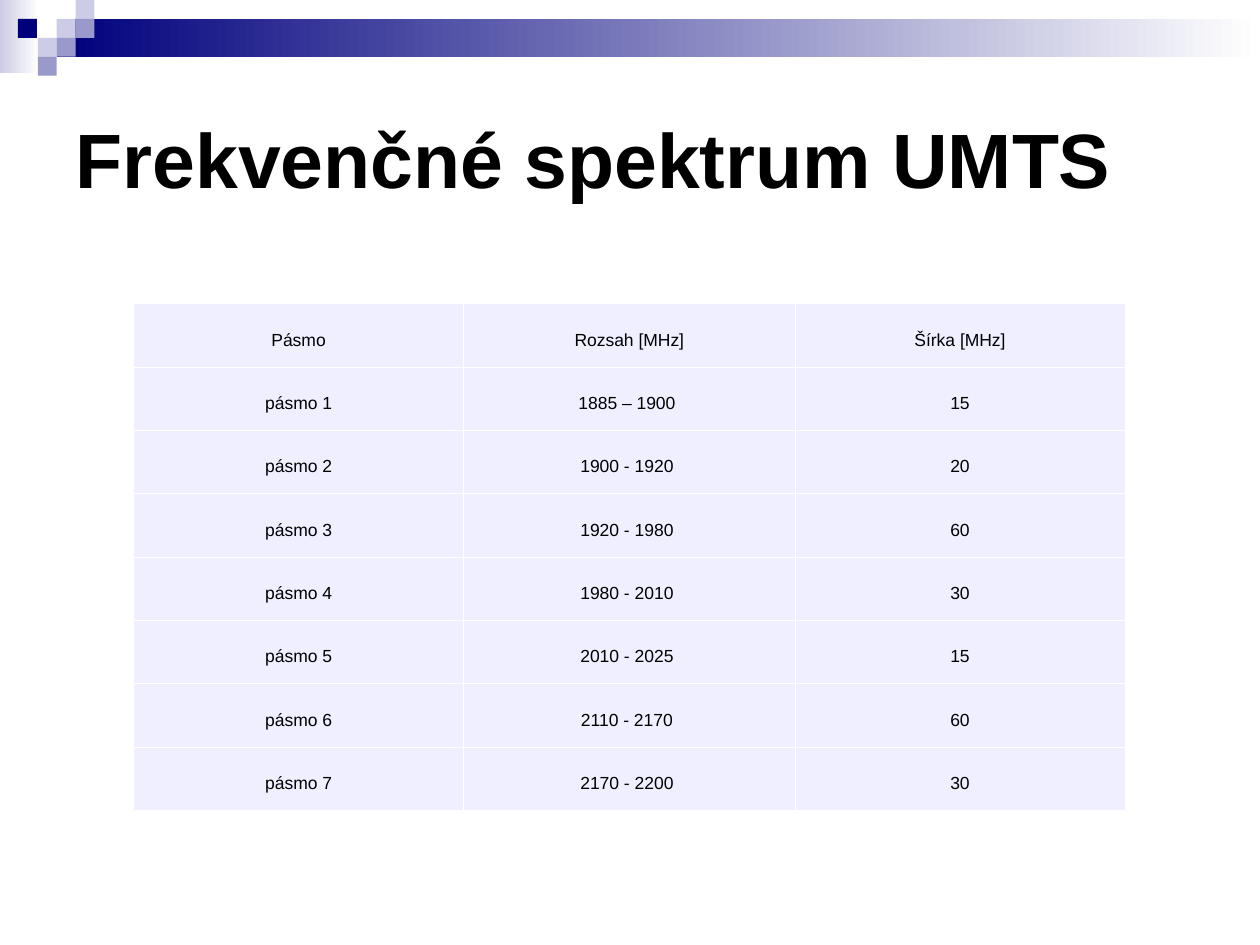
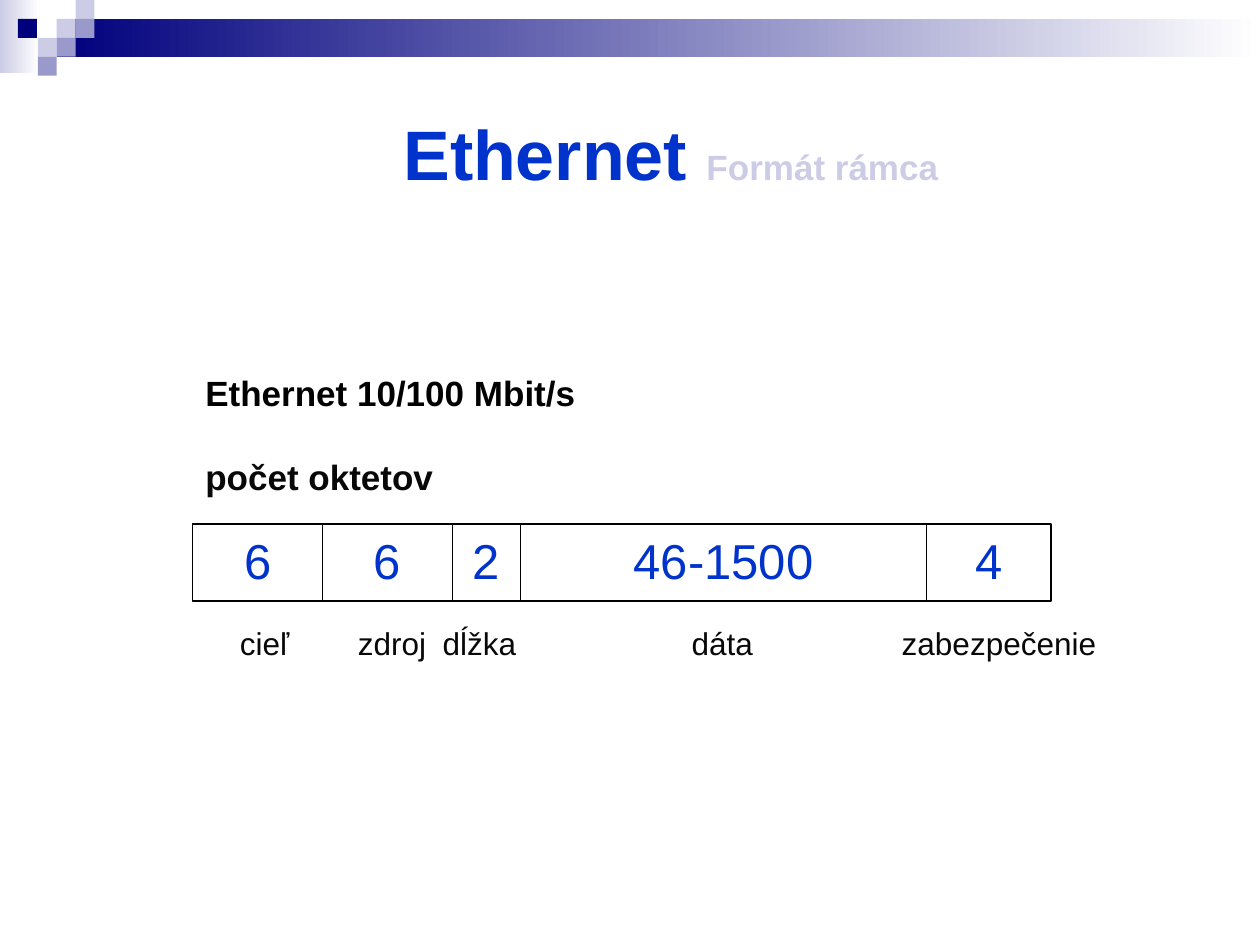
"""Build two slides: the UMTS frequency spectrum and the Ethernet frame format."""
from itertools import accumulate

from lxml.etree import SubElement
from pptx import Presentation
from pptx.dml.color import RGBColor
from pptx.enum.shapes import MSO_CONNECTOR as Connector, MSO_SHAPE as Shape
from pptx.enum.text import MSO_ANCHOR as Anchor, MSO_AUTO_SIZE as AutoSize, PP_ALIGN as Align
from pptx.oxml.ns import qn
from pptx.util import Pt

COLORS = {
    "black": "000000", "ink": "080808", "white": "FFFFFF", "navy": "00007D",
    "blue": "0033CC", "pale": "CCCCE6", "mid": "9999CC", "cell": "EFEFFF",
}
FONT = "Arial"

SPECTRUM_TITLE = "Frekvenčné spektrum UMTS"
BANDS = [
    ("Pásmo", "Rozsah [MHz]", "Šírka [MHz]"),
    ("pásmo 1", "1885 – 1900 ", "15"),
    ("pásmo 2", "1900 - 1920 ", "20"),
    ("pásmo 3", "1920 - 1980 ", "60"),
    ("pásmo 4", "1980 - 2010 ", "30"),
    ("pásmo 5", "2010 - 2025 ", "15"),
    ("pásmo 6", "2110 - 2170 ", "60"),
    ("pásmo 7", "2170 - 2200 ", "30"),
]
BAND_TABLE = (76.3, 173.5)
BAND_COLUMNS = (188.6, 189.4, 188.6)
BAND_ROW = 36.2

FRAME_TITLE = [("Ethernet ", 40, "blue"), ("Formát rámca", 20, "pale")]
FRAME_HEADINGS = [("Ethernet 10/100 Mbit/s", 197.3, "black"), ("počet oktetov", 245.5, "ink")]
FRAME_FIELDS = [
    ("6", 74.2, "cieľ", 19.8),
    ("6", 74.2, "zdroj", 87.2),
    ("2", 38.9, "dĺžka", 135.7),
    ("46-1500", 231.8, "dáta", 278),
    ("4", 71.3, "zabezpečenie", 398),
]
FRAME_LEFT, FRAME_TOP, FRAME_HEIGHT = 110.2, 299.5, 43.9
VALUE_MIN_WIDTH = 71

GRADIENT_BARS = [((0, 0, 22.3, 41.8), "pale"), ((32.4, 10.8, 687.6, 21.6), "navy")]
TILE = 10.8
TILES = [(3, 1, "pale"), (4, 0, "pale"), (4, 1, "mid"), (2, 2, "pale"),
         (0.95, 1, "navy"), (3, 2, "mid"), (2, 3, "mid")]


def color(name):
    return RGBColor.from_string(COLORS[name])


def write(frame, text, size=18, ink="black", bold=False, align=Align.LEFT,
          anchor=Anchor.TOP, spacing=None, tabs=()):
    """Append text to the first paragraph of a frame with the given format."""
    frame.word_wrap = True
    frame.vertical_anchor = anchor
    paragraph = frame.paragraphs[0]
    paragraph.alignment = align
    paragraph.space_before = Pt(0)
    if spacing:
        paragraph.line_spacing = spacing
    if tabs:
        stops = SubElement(paragraph._p.get_or_add_pPr(), qn("a:tabLst"))
        for stop in tabs:
            SubElement(stops, qn("a:tab"), pos=str(Pt(stop)), algn="l")
    run = paragraph.add_run()
    run.text = text
    run.font.name, run.font.size, run.font.bold = FONT, Pt(size), bold
    run.font.color.rgb = color(ink)


def place(part, left, top, width, height):
    part.left, part.top, part.width, part.height = map(Pt, (left, top, width, height))


def add_label(slide, box, text, **style):
    write(slide.shapes.add_textbox(*map(Pt, box)).text_frame, text, **style)


def add_rectangle(slide, box):
    rectangle = slide.shapes.add_shape(Shape.RECTANGLE, *map(Pt, box))
    rectangle.shadow.inherit = False
    rectangle.line.fill.background()
    return rectangle


def decorate(layout, slide):
    """Draw the shared header and move it to the back of the layout."""
    header = []
    for box, start in GRADIENT_BARS:
        bar = add_rectangle(slide, box)
        bar.fill.gradient()
        bar.fill.gradient_angle = 0
        for stop, name, position in zip(bar.fill.gradient_stops, (start, "white"), (0, 1)):
            stop.color.rgb, stop.position = color(name), position
        header.append(bar)
    for column, row, name in TILES:
        tile = add_rectangle(slide, (column * TILE, row * TILE, TILE, TILE))
        tile.fill.solid()
        tile.fill.fore_color.rgb = color(name)
        header.append(tile)
    for index, part in enumerate(header, start=2):
        layout.shapes._spTree.insert(index, part._element)


def border_cell(cell):
    properties = cell._tc.get_or_add_tcPr()
    for index, side in enumerate(("a:lnL", "a:lnR", "a:lnT", "a:lnB")):
        edge = SubElement(properties, qn(side), w=str(Pt(0.45)))
        SubElement(SubElement(edge, qn("a:solidFill")), qn("a:srgbClr"), val=COLORS["white"])
        properties.insert(index, edge)


def build_spectrum(slide):
    title = slide.shapes.title
    place(title, 36, 36, 648, 108)
    title.text_frame.auto_size = AutoSize.NONE
    write(title.text_frame, SPECTRUM_TITLE, size=44, bold=True, anchor=Anchor.MIDDLE)

    size = (sum(BAND_COLUMNS), BAND_ROW * len(BANDS))
    table = slide.shapes.add_table(len(BANDS), len(BAND_COLUMNS),
                                   *map(Pt, BAND_TABLE + size)).table
    for column, width in zip(table.columns, BAND_COLUMNS):
        column.width = Pt(width)
    for row, band in zip(table.rows, BANDS):
        row.height = Pt(BAND_ROW)
        for cell, text in zip(row.cells, band):
            cell.fill.solid()
            cell.fill.fore_color.rgb = color("cell")
            cell.margin_left = cell.margin_right = Pt(2.9)
            cell.vertical_anchor = Anchor.MIDDLE
            write(cell.text_frame, text, size=10, align=Align.CENTER,
                  anchor=Anchor.MIDDLE, spacing=1.5)
            border_cell(cell)


def build_frame(slide):
    title = slide.shapes.title
    place(title, 92.9, 59.8, 581, 55.4)
    title.text_frame.auto_size = AutoSize.NONE
    for text, size, ink in FRAME_TITLE:
        write(title.text_frame, text, size=size, ink=ink, bold=True, align=Align.CENTER)

    values, widths, names, tabs = zip(*FRAME_FIELDS)
    edges = list(accumulate(widths, initial=FRAME_LEFT))
    outline = add_rectangle(slide, (FRAME_LEFT, FRAME_TOP, sum(widths), FRAME_HEIGHT))
    outline.fill.background()
    outline.line.color.rgb = color("black")
    outline.line.width = Pt(0.75)
    for edge in edges[1:-1]:
        divider = slide.shapes.add_connector(
            Connector.STRAIGHT, *map(Pt, (edge, FRAME_TOP, edge, FRAME_TOP + FRAME_HEIGHT)))
        divider.line.color.rgb = color("black")
        divider.line.width = Pt(0.75)
        SubElement(divider._element.spPr, qn("a:effectLst"))
    for value, left, width in zip(values, edges, widths):
        room = max(width, VALUE_MIN_WIDTH)
        add_label(slide, (left + (width - room) / 2, FRAME_TOP, room, 41), value,
                  size=28, ink="blue", align=Align.CENTER)
    add_label(slide, (FRAME_LEFT, 353, 540, 31), "\t" + "\t".join(names),
              ink="ink", tabs=tabs)
    for text, top, ink in FRAME_HEADINGS:
        add_label(slide, (FRAME_LEFT, top, 382.3, 54), text, size=20, ink=ink,
                  bold=True, anchor=Anchor.MIDDLE)


def main():
    deck = Presentation()
    deck.slide_width, deck.slide_height = Pt(720), Pt(540)
    title_only = deck.slide_layouts[5]
    spectrum, frame = (deck.slides.add_slide(title_only) for _ in range(2))
    decorate(title_only, spectrum)
    build_spectrum(spectrum)
    build_frame(frame)
    deck.save("out.pptx")


if __name__ == "__main__":
    main()
